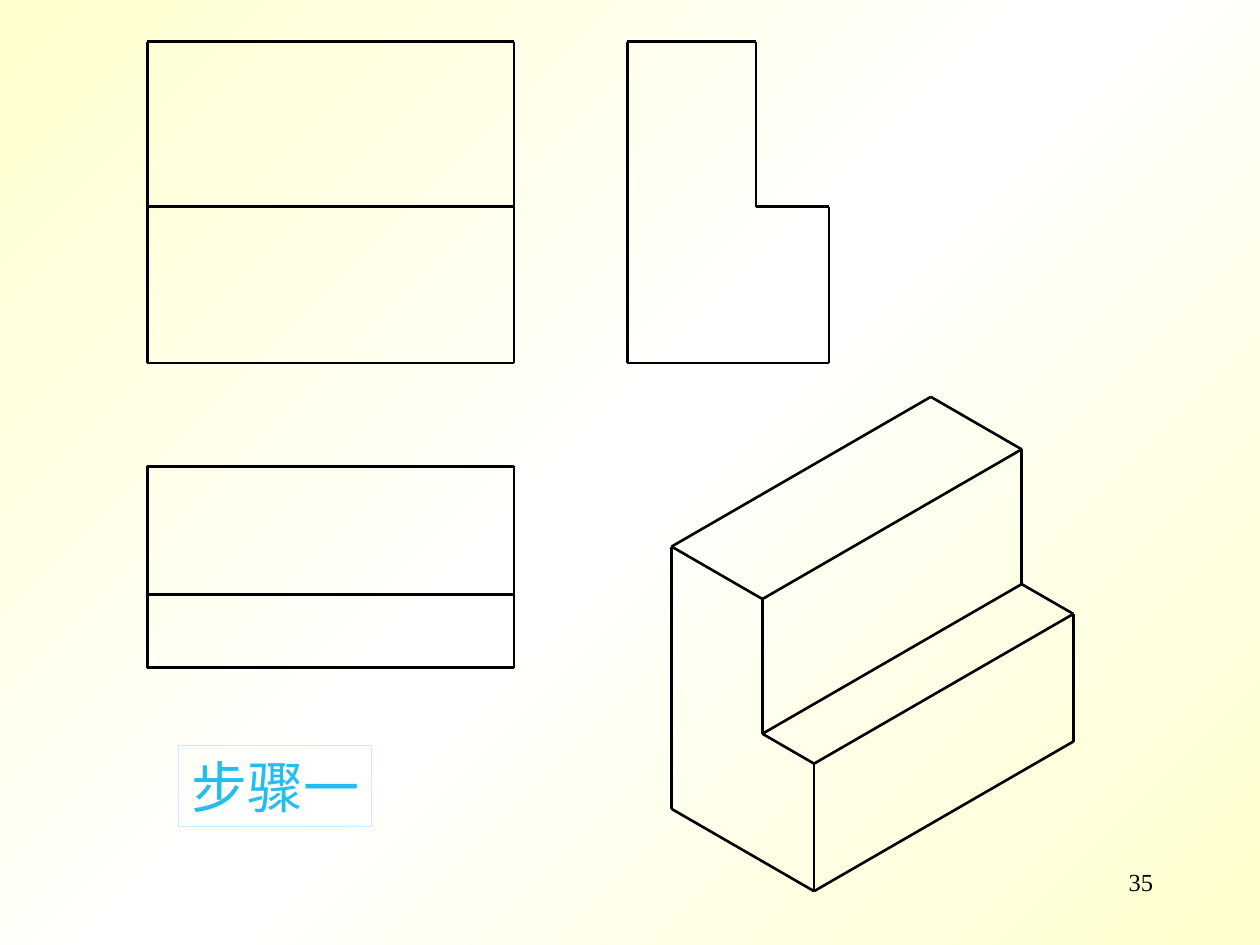
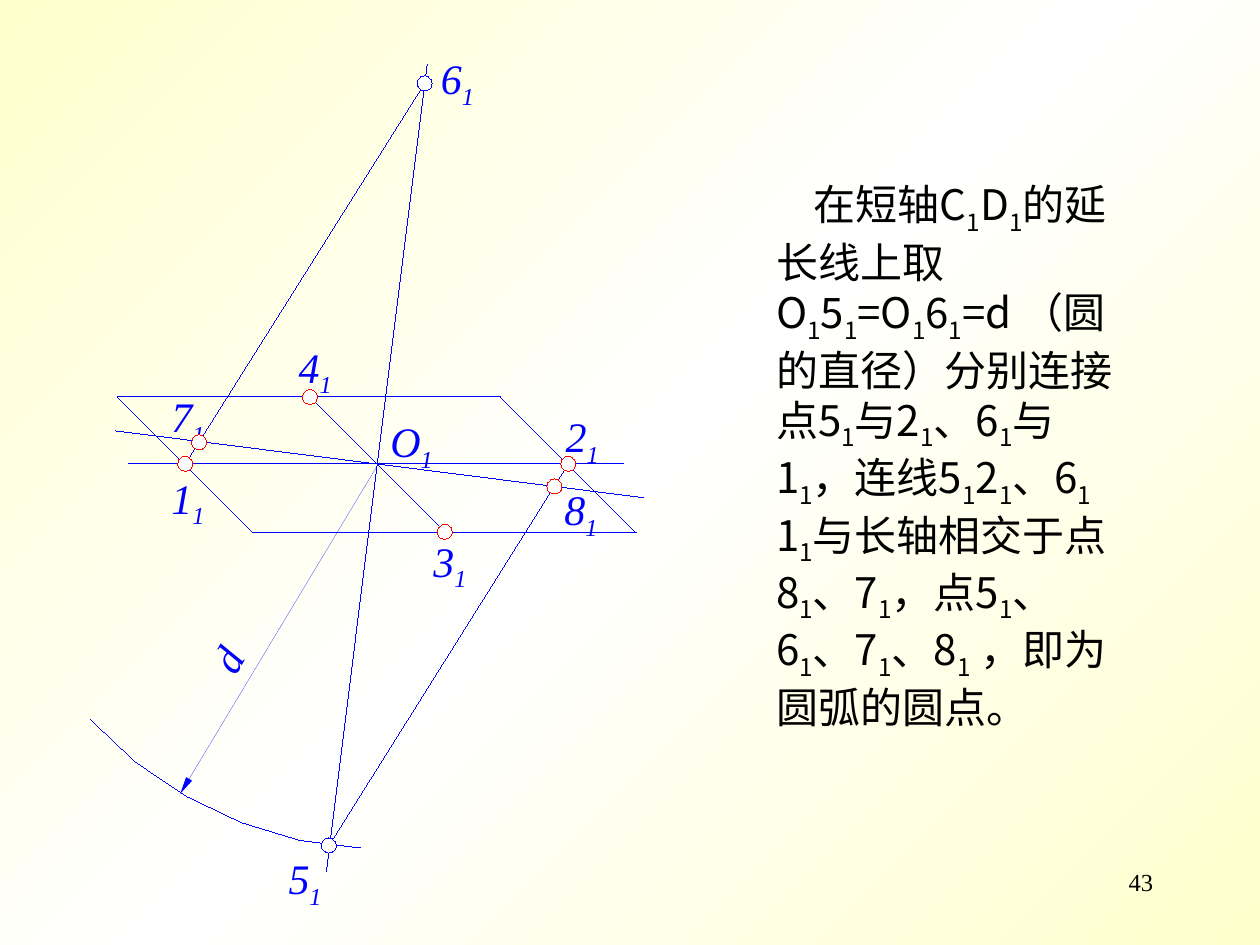
import itertools
import math

import pptx
import pptx.dml.color
import pptx.enum.shapes
import pptx.enum.text
import pptx.util
from copy import deepcopy
from lxml import etree
from pptx.oxml.ns import qn

RGB = pptx.dml.color.RGBColor
CREAM = RGB(0xFF, 0xFF, 0xCC)
WHITE = RGB(0xFF, 0xFF, 0xFF)
BLACK = RGB(0, 0, 0)
BLUE = RGB(0, 0, 0xFF)
RED = RGB(0xFF, 0, 0)
SKY = RGB(0x23, 0xBE, 0xEF)
PALE_BLUE = RGB(0xCC, 0xEC, 0xFF)
SERIF, SANS = "Times New Roman", "Noto Sans CJK SC"
HAIRLINE = 0.01  # a width of 0 would fall back to the theme's line
INSET = (0.1, 0.05)

# Step 1: the stepped block, in inches
STEP_LABEL = "步骤一"
LENGTH = 2.91
BACK_DEPTH, DEPTH = 1.02, 1.6
LOWER_HEIGHT, HEIGHT = 1.24, 2.55
PROFILE = [(0, 0), (DEPTH, 0), (DEPTH, LOWER_HEIGHT),
           (BACK_DEPTH, LOWER_HEIGHT), (BACK_DEPTH, HEIGHT), (0, HEIGHT)]
FRONT_LEFT, FRONT_BASE = 1.17, 2.88
SIDE_LEFT, PLAN_TOP = 4.98, 3.7
ISO_ORIGIN = (5.33, 6.42)

# Ellipse construction: an underscore lowers the character after it
POINTS = {  # number: (centre, outline, label corner)
    "1": ((1.47, 3.68), RED, (1.36, 3.75)),
    "2": ((4.51, 3.68), RED, (4.49, 3.26)),
    "3": ((3.53, 4.22), RED, (3.44, 4.25)),
    "4": ((2.46, 3.15), RED, (2.37, 2.71)),
    "5": ((2.61, 6.71), BLUE, (2.29, 6.77)),
    "6": ((3.37, 0.66), BLUE, (3.5, 0.42)),
    "7": ((1.58, 3.51), RED, (1.36, 3.1)),
    "8": ((4.4, 3.86), RED, (4.48, 3.84)),
}
JOINED_POINTS = ["52", "61", "43"]
AXES = [((3.39, 0.51), (2.59, 6.92)), ((0.92, 3.42), (5.11, 3.95)),
        ((1.02, 3.68), (4.95, 3.68))]
PARALLELOGRAM = [(0.93, 3.15), (3.97, 3.15), (5.05, 4.23), (2.01, 4.23)]
DIAMETER_ARC = [(0.72, 5.71), (1.08, 6.05), (1.48, 6.32),
                (1.92, 6.53), (2.38, 6.67), (2.86, 6.73)]
DIAMETER_ARROW = ((3.01, 3.67), (1.43, 6.3))
DOT = 0.12
EXPLANATION = (
    "在短轴C_1D_1的延长线上取O_15_1=O_16_1=d （圆的直径）分别连接点5_1与2_1、6_1与1_1"
    "，连线5_12_1、6_1 1_1与长轴相交于点8_1、7_1，点5_1、 6_1、7_1、8_1 ，即为圆弧的圆点。")


def inches(*lengths):
    return [pptx.util.Inches(length) for length in lengths]


def new_slide(deck, number):
    """Add a slide with the shared gradient and page number."""
    slide = deck.slides.add_slide(deck.slide_layouts[6])
    fill = slide.background.fill
    fill.gradient()
    fill.gradient_angle = 315
    stops = next(slide.element.iter(qn("a:gsLst")))
    stops.insert(1, deepcopy(stops[0]))
    for stop, color, share in zip(fill.gradient_stops, (CREAM, WHITE, CREAM), (0, 0.5, 1)):
        stop.color.rgb = color
        stop.position = share
    add_text(slide, str(number), (7.17, 6.83, 2.08, 0.5), size=14, align="RIGHT", inset=INSET)
    return slide


def add_text(slide, content, place, size=24, font=SERIF, color=BLACK, italic=False,
             align="LEFT", inset=(0, 0), indent=0, turn=0):
    box = slide.shapes.add_textbox(*inches(*place))
    box.rotation = turn
    frame = box.text_frame
    frame.word_wrap = True
    frame.margin_left = frame.margin_right = pptx.util.Inches(inset[0])
    frame.margin_top = frame.margin_bottom = pptx.util.Inches(inset[1])
    paragraph = frame.paragraphs[0]
    paragraph.alignment = getattr(pptx.enum.text.PP_ALIGN, align)
    if indent:
        paragraph._p.get_or_add_pPr().set("indent", str(pptx.util.Inches(indent)))

    def add_run(words, lowered):
        if not words:
            return
        run = paragraph.add_run()
        run.text = words
        run.font.size = pptx.util.Pt(size)
        run.font.name = font
        run.font.italic = italic
        run.font.color.rgb = color
        properties = run._r.get_or_add_rPr()
        etree.SubElement(properties, qn("a:ea")).set("typeface", SANS)
        if lowered:
            properties.set("baseline", "-25000")

    first, *rest = content.split("_")
    add_run(first, False)
    for part in rest:
        add_run(part[0], True)
        add_run(part[1:], False)
    return box


def add_line(slide, start, end, color=BLUE, width=HAIRLINE, arrow=False):
    line = slide.shapes.add_connector(
        pptx.enum.shapes.MSO_CONNECTOR.STRAIGHT, *inches(*start, *end))
    line.line.color.rgb = color
    line.line.width = pptx.util.Pt(width)
    etree.SubElement(line._element.spPr, qn("a:effectLst"))
    if arrow:
        head = etree.SubElement(line.line._get_or_add_ln(), qn("a:tailEnd"))
        for key, value in (("type", "triangle"), ("w", "sm"), ("len", "lg")):
            head.set(key, value)


def add_edges(slide, corners, close=True, **pen):
    """Join each corner to the next, and the last to the first if closed."""
    ring = corners + corners[:1] if close else corners
    for start, end in itertools.pairwise(ring):
        add_line(slide, start, end, **pen)


def add_arc(slide, points):
    start, *rest = [inches(*point) for point in points]
    builder = slide.shapes.build_freeform(*start)
    builder.add_line_segments(rest, close=False)
    arc = builder.convert_to_shape()
    arc.shadow.inherit = False
    arc.fill.background()
    arc.line.color.rgb = BLUE
    arc.line.width = pptx.util.Pt(HAIRLINE)


def add_dot(slide, centre, color):
    dot = slide.shapes.add_shape(
        pptx.enum.shapes.MSO_SHAPE.OVAL,
        *inches(centre[0] - DOT / 2, centre[1] - DOT / 2, DOT, DOT))
    dot.shadow.inherit = False
    dot.fill.solid()
    dot.fill.fore_color.rgb = WHITE
    dot.line.color.rgb = color
    dot.line.width = pptx.util.Pt(HAIRLINE)


def isometric(along, depth, height):
    scale = math.sqrt(2 / 3)
    return (ISO_ORIGIN[0] + scale * math.cos(math.pi / 6) * (along + depth),
            ISO_ORIGIN[1] + scale * ((depth - along) / 2 - height))


def build_block(deck):
    slide = new_slide(deck, 35)
    pen = {"color": BLACK, "width": 1.5}
    right = FRONT_LEFT + LENGTH

    # Front view and plan: a rectangle divided by the step
    for levels in ((FRONT_BASE - HEIGHT, FRONT_BASE - LOWER_HEIGHT, FRONT_BASE),
                   (PLAN_TOP, PLAN_TOP + BACK_DEPTH, PLAN_TOP + DEPTH)):
        for level in levels:
            add_line(slide, (FRONT_LEFT, level), (right, level), **pen)
        for side in (FRONT_LEFT, right):
            add_edges(slide, [(side, level) for level in levels], close=False, **pen)

    # Side view
    add_edges(slide, [(SIDE_LEFT + d, FRONT_BASE - h) for d, h in PROFILE], **pen)

    # Isometric view: near end, visible far end, and the edges between
    near = [isometric(0, *corner) for corner in PROFILE]
    far = [isometric(LENGTH, *corner) for corner in PROFILE]
    add_edges(slide, near, **pen)
    add_edges(slide, far[1:], close=False, **pen)
    for start, end in zip(near[1:], far[1:]):
        add_line(slide, start, end, **pen)

    label = add_text(slide, STEP_LABEL, (1.42, 5.92, 1.53, 0.64), size=32, color=SKY,
                     align="CENTER", inset=(0, 0.05))
    label.line.color.rgb = PALE_BLUE
    label.line.width = pptx.util.Pt(HAIRLINE)


def build_ellipse(deck):
    slide = new_slide(deck, 43)
    lettering = {"color": BLUE, "italic": True}

    # Construction lines
    add_edges(slide, PARALLELOGRAM)
    add_arc(slide, DIAMETER_ARC)
    for start, end in AXES:
        add_line(slide, start, end)
    for first, second in JOINED_POINTS:
        add_line(slide, POINTS[first][0], POINTS[second][0])
    add_line(slide, *DIAMETER_ARROW, arrow=True)

    # Labels, then the points over them
    add_text(slide, "O_1", (3, 3.25, 0.67, 0.56), inset=INSET, **lettering)
    add_text(slide, "d", (1.58, 4.92, 0.5, 0.5), inset=INSET, turn=299, **lettering)
    for number, (_, _, corner) in POINTS.items():
        add_text(slide, number + "_1", (*corner, 0.46, 0.46), **lettering)
    for centre, color, _ in POINTS.values():
        add_dot(slide, centre, color)

    add_text(slide, EXPLANATION, (6.16, 1.42, 2.83, 4.79), font=SANS, indent=0.3)


def main():
    deck = pptx.Presentation()
    deck.slide_width, deck.slide_height = inches(10, 7.5)
    build_block(deck)
    build_ellipse(deck)
    deck.save("out.pptx")


if __name__ == "__main__":
    main()
